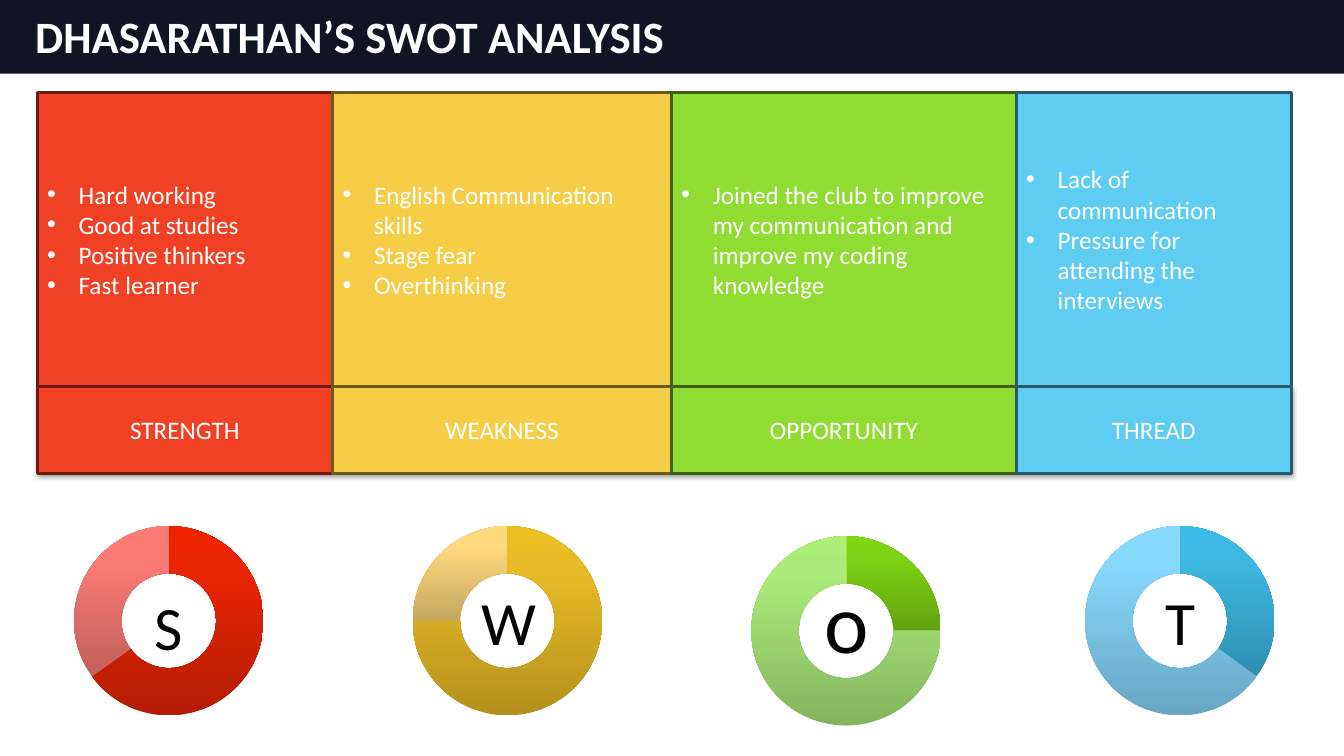
"""Build a SWOT analysis slide with four coloured columns and ring charts."""
import copy
import dataclasses

import lxml.etree
import pptx
import pptx.chart.chart
import pptx.chart.data
import pptx.dml.color
import pptx.dml.fill
import pptx.enum.chart
import pptx.enum.shapes
import pptx.enum.text
import pptx.oxml
import pptx.oxml.ns
import pptx.shapes.autoshape
import pptx.slide
import pptx.text.text
import pptx.util

Pt = pptx.util.Pt
qn = pptx.oxml.ns.qn
PP_ALIGN = pptx.enum.text.PP_ALIGN
MSO_ANCHOR = pptx.enum.text.MSO_ANCHOR

FONT = "Calibri"
WHITE = "FFFFFF"
BLACK = "000000"
TABLE_LEFT, TABLE_TOP = 26.6, 66.2
ITEMS_HEIGHT, HEADING_HEIGHT = 209.6, 62.6
HEADING_TOP = TABLE_TOP + ITEMS_HEIGHT
CHART_WIDTH, CHART_HEIGHT = 234, 155.5
BULLET_INDENT = 22.5
RING_STOPS = (0, 0.8, 1)


@dataclasses.dataclass(frozen=True)
class Letter:
    text: str
    size: float
    left: float
    top: float
    width: float
    height: float


@dataclasses.dataclass(frozen=True)
class Quadrant:
    heading: str
    items: tuple[str, ...]
    width: float
    fill: str
    line: str
    chart_left: float
    chart_top: float
    values: tuple[int, int]
    ring_colors: tuple[tuple[str, ...], tuple[str, ...]]
    letter: Letter


QUADRANTS = (
    Quadrant("STRENGTH", ("Hard working", "Good at studies", "Positive thinkers", "Fast learner"),
             211, "F14124", "6A1C10", 3.6, 366.5, (65, 35),
             (("B41C03", "EA2505", "EF2200"), ("C2605A", "FC7C75", "FF7C74")),
             Letter("S", 44, 96.5, 416.9, 48.2, 20.9)),
    Quadrant("WEAKNESS", ("English Communication skills", "Stage fear", "Overthinking"),
             242, "F5CD47", "6B5A1F", 245.5, 366.5, (75, 25),
             (("B4911E", "E9BC27", "EEBF23"), ("C4A760", "FFD97D", "FFDA7E")),
             Letter("W", 44, 333.4, 413.3, 60.5, 49)),
    Quadrant("OPPORTUNITY",
             ("Joined the club to improve my communication and improve my coding knowledge",),
             246.3, "91DC32", "406016", 487.4, 373.7, (25, 75),
             (("62A310", "7FD315", "80D811"), ("84B55E", "ABEB7A", "ACEE78")),
             Letter("o", 60, 574.6, 403.2, 60.5, 49)),
    Quadrant("THREAD", ("Lack of communication", "Pressure for attending the interviews"),
             196.5, "5ECCF3", "29596B", 725.8, 366.5, (35, 65),
             (("2F8EB0", "3EB9E4", "3BBBE8"), ("68A6C2", "86D8FC", "85D9FF")),
             Letter("T", 44, 812.9, 413.3, 60.5, 49)),
)


def color(value: str) -> pptx.dml.color.RGBColor:
    """Turn a hex string into a colour."""
    return pptx.dml.color.RGBColor.from_string(value)


def add_run(paragraph: pptx.text.text._Paragraph, text: str, size: float,
            text_color: str, bold: bool = False) -> None:
    """Append one formatted run."""
    run = paragraph.add_run()
    run.text = text
    run.font.name = FONT
    run.font.size = Pt(size)
    run.font.bold = bold
    run.font.color.rgb = color(text_color)


def add_rectangle(slide: pptx.slide.Slide, left: float, top: float, width: float,
                  height: float, fill: str, line: str | None = None,
                  line_width: float = 2) -> pptx.shapes.autoshape.Shape:
    """Draw a plain rectangle without a shadow."""
    shape = slide.shapes.add_shape(pptx.enum.shapes.MSO_SHAPE.RECTANGLE,
                                   Pt(left), Pt(top), Pt(width), Pt(height))
    shape.shadow.inherit = False
    shape.fill.solid()
    shape.fill.fore_color.rgb = color(fill)
    if line:
        shape.line.color.rgb = color(line)
        shape.line.width = Pt(line_width)
    else:
        shape.line.fill.background()
    shape.text_frame.word_wrap = True
    shape.text_frame.vertical_anchor = MSO_ANCHOR.MIDDLE
    return shape


def add_text(slide: pptx.slide.Slide, letter: Letter, text_color: str, bold: bool,
             alignment: PP_ALIGN, anchor: MSO_ANCHOR) -> None:
    """Place a single line of text."""
    box = slide.shapes.add_textbox(Pt(letter.left), Pt(letter.top),
                                   Pt(letter.width), Pt(letter.height))
    frame = box.text_frame
    frame.word_wrap = True
    frame.vertical_anchor = anchor
    frame.paragraphs[0].alignment = alignment
    add_run(frame.paragraphs[0], letter.text, letter.size, text_color, bold)


def add_bullet(paragraph: pptx.text.text._Paragraph, text: str) -> None:
    """Fill a paragraph as a bulleted item."""
    paragraph.alignment = PP_ALIGN.LEFT
    add_run(paragraph, text, 18, WHITE)
    properties = paragraph._p.get_or_add_pPr()
    properties.set("marL", str(Pt(BULLET_INDENT)))
    properties.set("indent", str(-Pt(BULLET_INDENT)))
    lxml.etree.SubElement(properties, qn("a:buFont")).set("typeface", "Arial")
    lxml.etree.SubElement(properties, qn("a:buChar")).set("char", "•")


def set_gradient(fill: pptx.dml.fill.FillFormat, owner: lxml.etree._Element,
                 positions: tuple[float, ...], colors: tuple[str, ...]) -> None:
    """Apply a three-stop gradient that rises from bottom to top."""
    fill.gradient()
    fill.gradient_angle = 90
    stop_list = list(owner.iter(qn("a:gsLst")))[-1]
    stop_list.append(copy.deepcopy(stop_list[-1]))
    for stop, position, value in zip(fill.gradient_stops, positions, colors):
        stop.position = position
        stop.color.rgb = color(value)


def add_table_backing(slide: pptx.slide.Slide) -> None:
    """Draw the shadowed bar beneath the headings."""
    width = sum(quadrant.width for quadrant in QUADRANTS)
    bar = add_rectangle(slide, TABLE_LEFT, HEADING_TOP, width, HEADING_HEIGHT,
                        "D2EFFF", "58C9F1", 0.75)
    set_gradient(bar.fill, bar.element, (0, 0.35, 1), ("BFE9FF", "D2EFFF", "EEF9FF"))
    bar.element.find(".//" + qn("a:effectLst")).append(pptx.oxml.parse_xml(
        f'<a:outerShdw {pptx.oxml.ns.nsdecls("a")} blurRad="{Pt(3.1)}" dist="{Pt(1.6)}" '
        'dir="5400000" rotWithShape="0"><a:srgbClr val="000000"><a:alpha val="38000"/>'
        '</a:srgbClr></a:outerShdw>'))


def add_ring(slide: pptx.slide.Slide, quadrant: Quadrant) -> None:
    """Add the doughnut chart of a quadrant."""
    data = pptx.chart.data.CategoryChartData()
    data.categories = ("1", "2")
    data.add_series("Series 1", quadrant.values)
    chart = slide.shapes.add_chart(
        pptx.enum.chart.XL_CHART_TYPE.DOUGHNUT, Pt(quadrant.chart_left),
        Pt(quadrant.chart_top), Pt(CHART_WIDTH), Pt(CHART_HEIGHT), data).chart
    chart.has_legend = False
    chart.has_title = False
    chart.font.name = FONT
    chart.font.size = Pt(18)
    chart.font.color.rgb = color(BLACK)
    chart.plots[0].vary_by_categories = True
    for index, colors in enumerate(quadrant.ring_colors):
        point_format = chart.plots[0].series[0].points[index].format
        set_gradient(point_format.fill, chart.element, RING_STOPS, colors)
        point_format.line.fill.background()
    plot_area = chart.element.find(".//" + qn("c:plotArea"))
    for layout in plot_area.findall(qn("c:layout")):
        plot_area.remove(layout)
    plot_area.insert(0, pptx.oxml.parse_xml(
        f'<c:layout {pptx.oxml.ns.nsdecls("c")}><c:manualLayout>'
        '<c:layoutTarget val="inner"/><c:xMode val="edge"/><c:yMode val="edge"/>'
        '<c:x val="0.21"/><c:y val="0.06"/><c:w val="0.58"/><c:h val="0.87"/>'
        '</c:manualLayout></c:layout>'))


def main() -> None:
    """Assemble and save the slide."""
    presentation = pptx.Presentation()
    presentation.slide_width, presentation.slide_height = Pt(960), Pt(540)
    slide = presentation.slides.add_slide(presentation.slide_layouts[6])
    add_rectangle(slide, 0, -0.7, 960, 53.3, "111422")
    add_text(slide, Letter("DHASARATHAN’S SWOT ANALYSIS", 32, 18, 4.3, 926, 41.8),
             WHITE, True, PP_ALIGN.LEFT, MSO_ANCHOR.MIDDLE)
    add_table_backing(slide)
    left = TABLE_LEFT
    for quadrant in QUADRANTS:
        add_ring(slide, quadrant)
        add_text(slide, quadrant.letter, BLACK, False, PP_ALIGN.CENTER, MSO_ANCHOR.TOP)
        heading, items = (
            add_rectangle(slide, left, top, quadrant.width, height, quadrant.fill, quadrant.line)
            for top, height in ((HEADING_TOP, HEADING_HEIGHT), (TABLE_TOP, ITEMS_HEIGHT)))
        heading.text_frame.paragraphs[0].alignment = PP_ALIGN.CENTER
        add_run(heading.text_frame.paragraphs[0], quadrant.heading, 18, WHITE)
        for index, item in enumerate(quadrant.items):
            frame = items.text_frame
            add_bullet(frame.add_paragraph() if index else frame.paragraphs[0], item)
        left += quadrant.width
    presentation.save("out.pptx")


if __name__ == "__main__":
    main()
